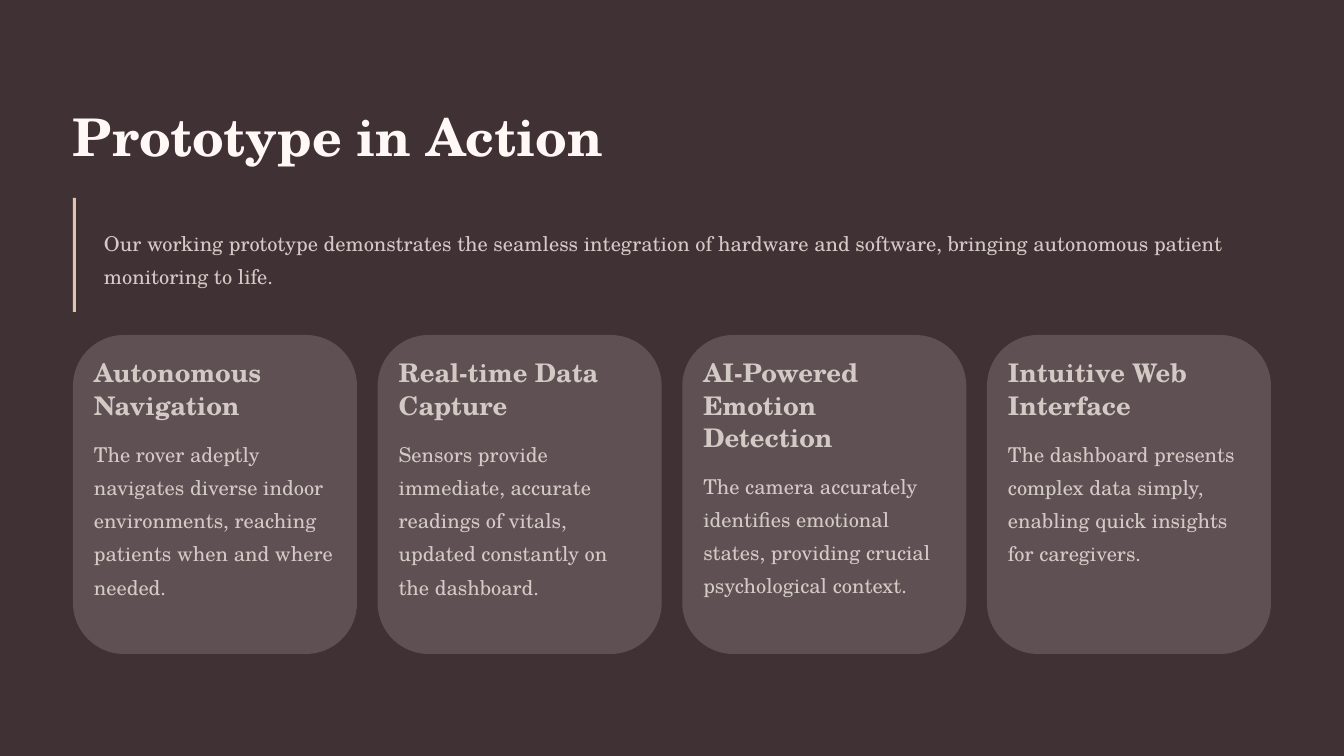
from dataclasses import dataclass

from pptx import Presentation
from pptx.dml.color import RGBColor
from pptx.enum.shapes import MSO_SHAPE as Preset
from pptx.enum.text import MSO_ANCHOR as Anchor, MSO_AUTO_SIZE as AutoSize, PP_ALIGN as Align
from pptx.util import Emu, Pt

TITLE = "Prototype in Action"
INTRO = (
    "Our working prototype demonstrates the seamless integration of hardware and software, "
    "bringing autonomous patient monitoring to life."
)
CARDS = [
    {
        "heading": "Autonomous Navigation",
        "heading_lines": 2,
        "body": "The rover adeptly navigates diverse indoor environments, "
                "reaching patients when and where needed.",
        "body_lines": 5,
    },
    {
        "heading": "Real-time Data Capture",
        "heading_lines": 2,
        "body": "Sensors provide immediate, accurate readings of vitals, "
                "updated constantly on the dashboard.",
        "body_lines": 5,
    },
    {
        "heading": "AI-Powered Emotion Detection",
        "heading_lines": 3,
        "body": "The camera accurately identifies emotional states, "
                "providing crucial psychological context.",
        "body_lines": 5,
    },
    {
        "heading": "Intuitive Web Interface",
        "heading_lines": 2,
        "body": "The dashboard presents complex data simply, "
                "enabling quick insights for caregivers.",
        "body_lines": 4,
    },
]


@dataclass(frozen=True)
class Theme:
    font: str = "TeX Gyre Schola"
    background: str = "403234"
    title: str = "FFF8F5"
    text: str = "D3C9C5"
    accent: str = "E2C2B3"
    card: str = "5F5153"
    title_size: float = 44.5
    title_leading: float = 55.5
    heading_size: float = 22
    heading_leading: float = 27.5
    body_size: float = 17.5
    body_leading: float = 28.5


THEME = Theme()
PX_PER_INCH = 84
SLIDE_WIDTH, SLIDE_HEIGHT = 1344, 756
MARGIN = 73
CONTENT_WIDTH = SLIDE_WIDTH - 2 * MARGIN
CARD_TOP, CARD_WIDTH, CARD_HEIGHT = 335, 284, 319
CARD_PADDING = 21
HEADING_GAP = 13
CARD_ROUNDING = 0.18
HEADING_LINE, BODY_LINE = 32, 33


def px(length):
    return Emu(round(length * 914400 / PX_PER_INCH))


def place(shape, left, top, width, height):
    shape.left, shape.top, shape.width, shape.height = map(px, (left, top, width, height))


def write_text(shape, text, size=THEME.body_size, leading=THEME.body_leading,
               color=THEME.text, bold=False):
    frame = shape.text_frame
    frame.margin_left = frame.margin_top = frame.margin_right = frame.margin_bottom = 0
    frame.auto_size = AutoSize.NONE
    frame.vertical_anchor = Anchor.TOP
    frame.word_wrap = True
    frame.text = text
    paragraph = frame.paragraphs[0]
    paragraph.alignment = Align.LEFT
    paragraph.space_before = Pt(0)
    paragraph.line_spacing = Pt(leading)
    font = paragraph.runs[0].font
    font.name, font.size, font.bold = THEME.font, Pt(size), bold
    font.color.rgb = RGBColor.from_string(color)


def add_text(slide, box, text, **text_format):
    shape = slide.shapes.add_textbox(*map(px, box))
    write_text(shape, text, **text_format)


def add_panel(slide, preset, box, color):
    shape = slide.shapes.add_shape(preset, *map(px, box))
    shape.shadow.inherit = False
    shape.fill.solid()
    shape.fill.fore_color.rgb = RGBColor.from_string(color)
    shape.line.fill.background()
    return shape


def add_card(slide, left, card):
    panel = add_panel(slide, Preset.ROUNDED_RECTANGLE,
                      (left, CARD_TOP, CARD_WIDTH, CARD_HEIGHT), THEME.card)
    panel.adjustments[0] = CARD_ROUNDING
    text_left = left + CARD_PADDING
    text_width = CARD_WIDTH - 2 * CARD_PADDING
    heading_top = CARD_TOP + CARD_PADDING
    heading_height = card["heading_lines"] * HEADING_LINE
    add_text(slide, (text_left, heading_top, text_width, heading_height), card["heading"],
             size=THEME.heading_size, leading=THEME.heading_leading, bold=True)
    body_top = heading_top + heading_height + HEADING_GAP
    add_text(slide, (text_left, body_top, text_width, card["body_lines"] * BODY_LINE),
             card["body"])


def main():
    presentation = Presentation()
    presentation.slide_width, presentation.slide_height = px(SLIDE_WIDTH), px(SLIDE_HEIGHT)
    slide = presentation.slides.add_slide(presentation.slide_layouts[5])
    slide.background.fill.solid()
    slide.background.fill.fore_color.rgb = RGBColor.from_string(THEME.background)

    title = slide.shapes.title
    place(title, MARGIN, 102, CONTENT_WIDTH, 66)
    write_text(title, TITLE, size=THEME.title_size, leading=THEME.title_leading,
               color=THEME.title, bold=True)

    add_text(slide, (104, 222, 1167, 2 * BODY_LINE), INTRO)
    add_panel(slide, Preset.RECTANGLE, (MARGIN, 198, 3, 114), THEME.accent)

    card_pitch = (CONTENT_WIDTH - CARD_WIDTH) / (len(CARDS) - 1)
    for index, card in enumerate(CARDS):
        add_card(slide, MARGIN + index * card_pitch, card)

    presentation.save("out.pptx")


if __name__ == "__main__":
    main()
